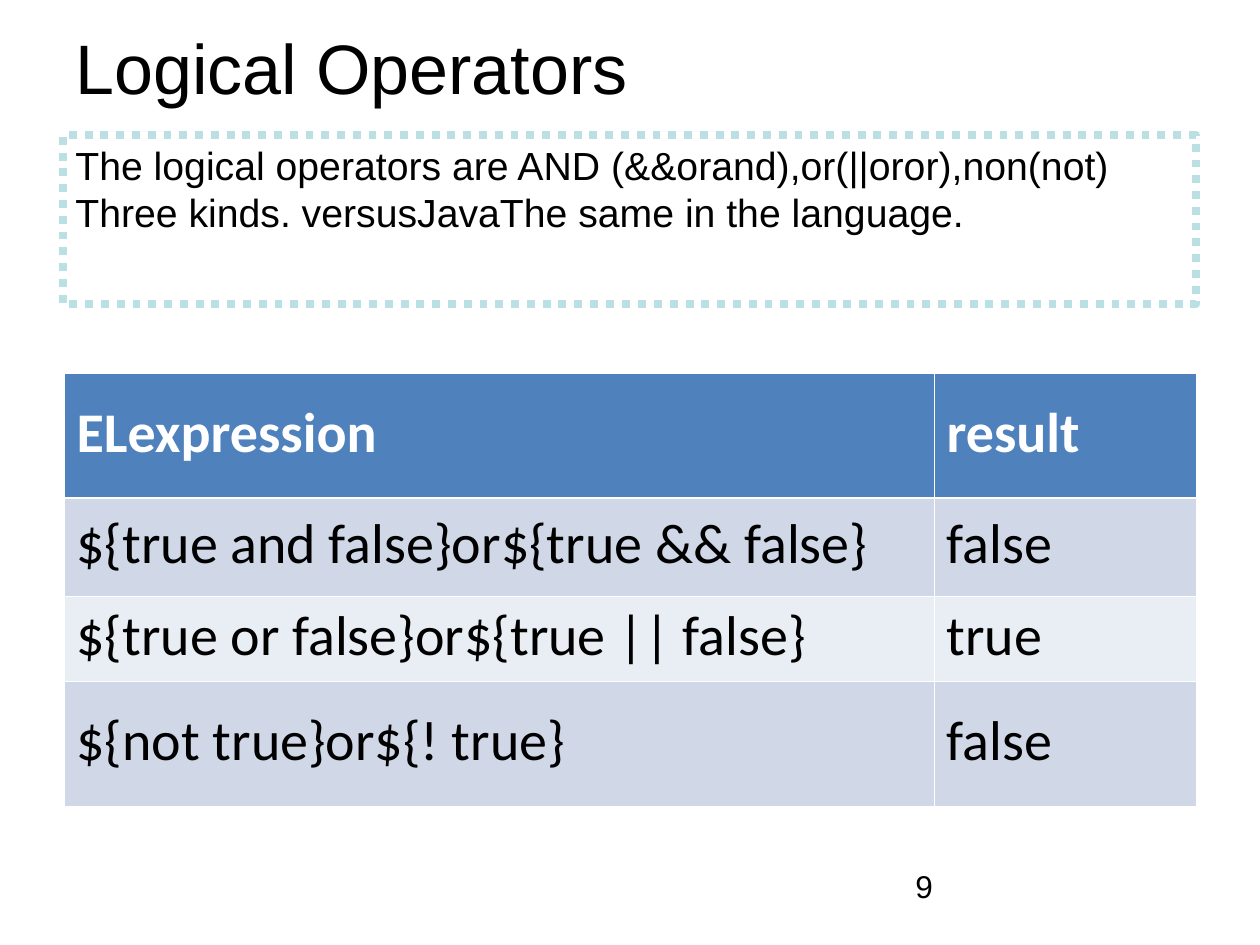
from dataclasses import dataclass

from lxml import etree
from pptx import Presentation
from pptx import util as u
from pptx.dml.color import RGBColor
from pptx.enum import dml, shapes, text
from pptx.oxml.ns import qn

EMU_PER_PX = 914400 / 126


@dataclass(frozen=True)
class Theme:
    ink: str = "000000"
    paper: str = "FFFFFF"
    frame: str = "BBE0E3"
    header: str = "4F81BD"
    bands: tuple = ("D0D8E8", "E9EDF4")
    font: str = "Arial"
    table_font: str = "Calibri"
    title_size: float = 40
    body_size: float = 22.4
    table_size: float = 32
    number_size: float = 18
    frame_width: float = 4.5
    grid_width: float = 0.23
    header_rule: float = 0.75


def px(*lengths):
    return [u.Emu(round(length * EMU_PER_PX)) for length in lengths]


def add_cell_border(cell, side, color, width):
    line = etree.SubElement(cell._tc.get_or_add_tcPr(), qn(f"a:ln{side}"),
                            w=str(u.Pt(width)))
    fill = etree.SubElement(line, qn("a:solidFill"))
    etree.SubElement(fill, qn("a:srgbClr"), val=color)


class SlideBuilder:
    def __init__(self, slide, theme):
        self.slide = slide
        self.theme = theme

    def set_words(self, frame, words, size, font=None, color=None, bold=False):
        """Fill a text frame with one left-aligned, uniformly styled paragraph."""
        frame.text = words
        para = frame.paragraphs[0]
        para.alignment = text.PP_ALIGN.LEFT
        for span in para.runs:
            span.font.name = font or self.theme.font
            span.font.size = u.Pt(size)
            span.font.bold = bold
            span.font.color.rgb = RGBColor.from_string(color or self.theme.ink)
        return para

    def text_box(self, words, area, size, anchor=text.MSO_ANCHOR.TOP):
        frame = self.slide.shapes.add_textbox(*px(*area)).text_frame
        frame.word_wrap = True
        frame.vertical_anchor = anchor
        self.set_words(frame, words, size)

    def dotted_panel(self, words, area):
        box = self.slide.shapes.add_shape(shapes.MSO_SHAPE.RECTANGLE, *px(*area))
        box.shadow.inherit = False
        box.fill.background()
        box.line.color.rgb = RGBColor.from_string(self.theme.frame)
        box.line.width = u.Pt(self.theme.frame_width)
        box.line.dash_style = dml.MSO_LINE.ROUND_DOT
        box.text_frame.word_wrap = True
        box.text_frame.vertical_anchor = text.MSO_ANCHOR.TOP
        self.set_words(box.text_frame, words, self.theme.body_size)

    def table(self, rows, left, top, widths, heights):
        area = px(left, top, sum(widths), sum(heights))
        table = self.slide.shapes.add_table(len(rows), len(widths), *area).table
        for column, width in zip(table.columns, px(*widths)):
            column.width = width
        for row, height in zip(table.rows, px(*heights)):
            row.height = height
        for row_index, row in enumerate(rows):
            for column_index, words in enumerate(row):
                self.table_cell(table.cell(row_index, column_index), words, row_index)

    def table_cell(self, cell, words, row_index):
        theme = self.theme
        is_header = row_index == 0
        rule_side = {0: "B", 1: "T"}.get(row_index)
        for side in "LRTB":
            width = theme.header_rule if side == rule_side else theme.grid_width
            add_cell_border(cell, side, theme.paper, width)
        color = theme.header if is_header else theme.bands[(row_index - 1) % 2]
        cell.fill.solid()
        cell.fill.fore_color.rgb = RGBColor.from_string(color)
        cell.vertical_anchor = text.MSO_ANCHOR.MIDDLE
        para = self.set_words(cell.text_frame, words, theme.table_size,
                              theme.table_font,
                              theme.paper if is_header else theme.ink, is_header)
        para.line_spacing = 0.83


def main():
    deck = Presentation()
    deck.slide_width, deck.slide_height = u.Inches(10), u.Inches(7.5)
    theme = Theme()
    page = SlideBuilder(deck.slides.add_slide(deck.slide_layouts[6]), theme)

    page.text_box("9", (903, 861, 294, 66), theme.number_size)
    page.text_box("Logical Operators", (63, 38, 1134, 58), theme.title_size,
                  text.MSO_ANCHOR.MIDDLE)
    page.dotted_panel(
        "The logical operators are AND (&&orand),or(||oror),non(not) "
        "Three kinds. versusJavaThe same in the language.",
        (63, 135, 1133, 169))
    page.table(
        [("ELexpression", "result"),
         ("${true and false}or${true && false}", "false"),
         ("${true or false}or${true || false}", "true"),
         ("${not true}or${! true}", "false")],
        left=64, top=373, widths=(870, 262), heights=(125, 98, 85, 125))
    deck.save("out.pptx")


if __name__ == "__main__":
    main()
